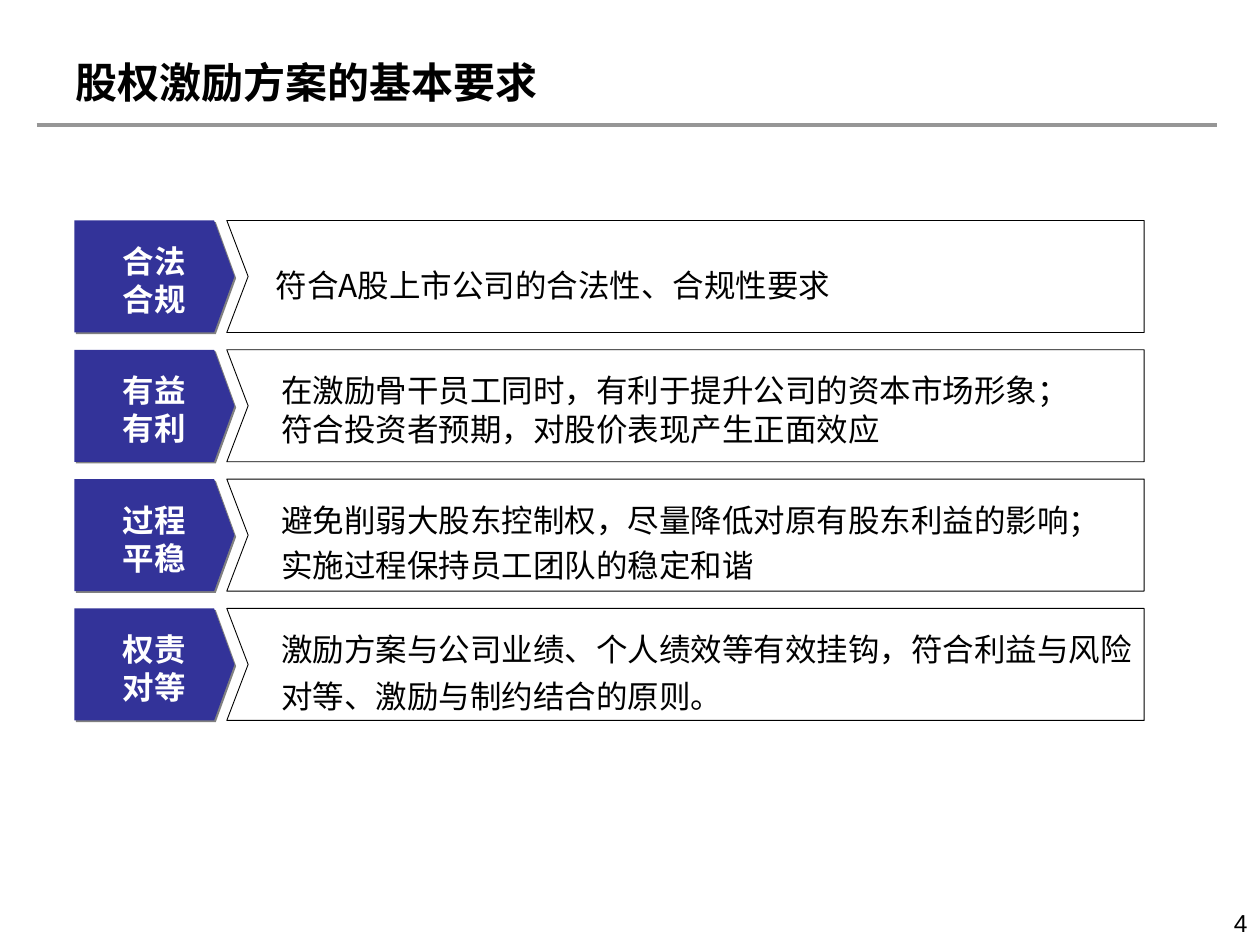
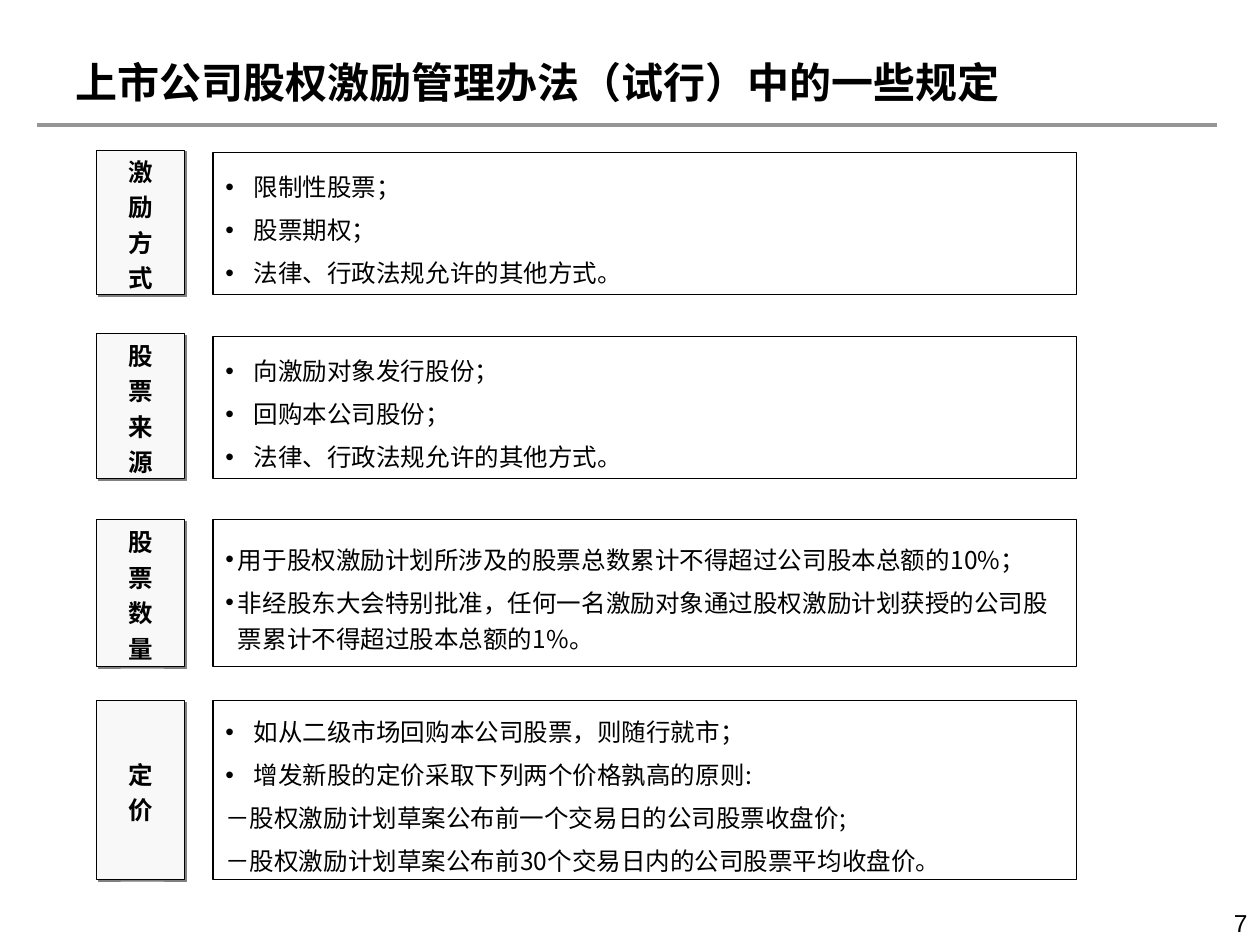
from dataclasses import dataclass
from typing import Optional

from lxml.etree import SubElement
from pptx import Presentation
from pptx.dml.color import RGBColor
from pptx.enum.shapes import MSO_CONNECTOR as Connector, MSO_SHAPE as Shape
from pptx.enum.text import MSO_ANCHOR as Anchor, PP_ALIGN as Align
from pptx.oxml.ns import qn
from pptx.util import Pt

BLACK, WHITE, NAVY = "000000", "FFFFFF", "333399"
RULE_GREY, SHADOW_GREY, LABEL_GREY = "969696", "808080", "F8F8F8"
LATIN, HAN = "Arial", "Noto Sans CJK SC"

# Requirement rows
ROW_TOP, ROW_PITCH, ROW_HEIGHT = 126, 73.9, 64
TAG_LEFT, TAG_SHOULDER, TAG_TIP = 42.5, 122.4, 134
PANEL_LEFT, PANEL_NOTCH, PANEL_RIGHT = 129.6, 141.8, 653.8
TEXT_DROP = 2

# Regulation rows
LABEL_LEFT, LABEL_WIDTH = 55.2, 50.4
RULES_LEFT, RULES_WIDTH = 121.7, 493.6
PARAGRAPH_GAP = 3.5


@dataclass
class Style:
    size: float
    font: str = HAN
    color: str = BLACK
    bold: bool = False
    align: Align = Align.LEFT
    line_height: Optional[float] = None
    gap: float = 0


@dataclass
class Requirement:
    tag: str
    text: str
    line_height: float
    lines: int = 2
    left: float = 160.6
    width: float = 489


@dataclass
class Regulation:
    label: str
    rules: list[str]
    top: float
    height: float
    label_rise: float = 0
    indent: float = 16.2


TITLE = Style(24, LATIN, bold=True)
PAGE_NUMBER = Style(14, LATIN, align=Align.RIGHT)
TAG = Style(18, color=WHITE, bold=True, align=Align.CENTER, line_height=21.6)
LABEL = Style(14, bold=True, align=Align.CENTER, line_height=16.8, gap=PARAGRAPH_GAP)
RULES = Style(14, line_height=21, gap=PARAGRAPH_GAP)

REQUIREMENTS = [
    Requirement("合法\n合规", "符合A股上市公司的合法性、合规性要求", 27, lines=1, left=157.6),
    Requirement("有益\n有利",
                "在激励骨干员工同时，有利于提升公司的资本市场形象；"
                "符合投资者预期，对股价表现产生正面效应", 21.8, width=461.5),
    Requirement("过程\n平稳",
                "避免削弱大股东控制权，尽量降低对原有股东利益的影响；\n"
                "实施过程保持员工团队的稳定和谐", 25.5),
    Requirement("权责\n对等",
                "激励方案与公司业绩、个人绩效等有效挂钩，"
                "符合利益与风险对等、激励与制约结合的原则。", 27),
]

OTHER_WAYS = "法律、行政法规允许的其他方式。"
REGULATIONS = [
    Regulation("激励方式", ["限制性股票；", "股票期权；", OTHER_WAYS], 87.1, 81.4, 1.4),
    Regulation("股票来源", ["向激励对象发行股份；", "回购本公司股份；", OTHER_WAYS],
               192.2, 81.4, 1.4),
    Regulation("股票数量",
               ["用于股权激励计划所涉及的股票总数累计不得超过公司股本总额的10%；",
                "非经股东大会特别批准，任何一名激励对象通过股权激励计划获授的"
                "公司股票累计不得超过股本总额的1%。"], 296.8, 84, indent=7.2),
    Regulation("定价",
               ["如从二级市场回购本公司股票，则随行就市；",
                "增发新股的定价采取下列两个价格孰高的原则:",
                "－股权激励计划草案公布前一个交易日的公司股票收盘价;",
                "－股权激励计划草案公布前30个交易日内的公司股票平均收盘价。"], 400.3, 102.2),
]


def rgb(color: str) -> RGBColor:
    return RGBColor.from_string(color)


def set_margins(frame, left: float, top: float, right: float, bottom: float) -> None:
    frame.margin_left, frame.margin_top = Pt(left), Pt(top)
    frame.margin_right, frame.margin_bottom = Pt(right), Pt(bottom)


def write(frame, text: str, style: Style, anchor: Anchor = Anchor.MIDDLE) -> None:
    frame.text = text
    frame.word_wrap = True
    frame.vertical_anchor = anchor
    for index, paragraph in enumerate(frame.paragraphs):
        paragraph.alignment = style.align
        if style.line_height:
            paragraph.line_spacing = Pt(style.line_height)
        paragraph.space_before = Pt(style.gap if index else 0)
        for run in paragraph.runs:
            font = run.font
            font.size, font.bold = Pt(style.size), style.bold
            font.color.rgb = rgb(style.color)
            font.name = style.font
            SubElement(font._element, qn("a:ea"), typeface=HAN)


def add_bullet(paragraph, indent: float) -> None:
    properties = paragraph._p.get_or_add_pPr()
    properties.set("marL", str(Pt(indent)))
    properties.set("indent", str(-Pt(indent)))
    SubElement(properties, qn("a:buFont"), typeface=LATIN)
    SubElement(properties, qn("a:buChar"), char="•")


def paint(shape, fill: Optional[str], line: Optional[str], width: float = 0.5,
          shadow: bool = False) -> None:
    if fill:
        shape.fill.solid()
        shape.fill.fore_color.rgb = rgb(fill)
    else:
        shape.fill.background()
    if line:
        shape.line.color.rgb = rgb(line)
        shape.line.width = Pt(width)
    else:
        shape.line.fill.background()
    shape.shadow.inherit = False
    if shadow:
        effects = shape._element.spPr.find(qn("a:effectLst"))
        outer = SubElement(effects, qn("a:outerShdw"), blurRad="0", dist=str(Pt(1.4)),
                           dir="2700000", algn="ctr", rotWithShape="0")
        SubElement(outer, qn("a:srgbClr"), val=SHADOW_GREY)


def add_outline(slide, points: list[tuple[float, float]]):
    start, *rest = [(Pt(x), Pt(y)) for x, y in points]
    builder = slide.shapes.build_freeform(*start, scale=1.0)
    builder.add_line_segments(rest, close=True)
    return builder.convert_to_shape()


def add_text(slide, text: str, style: Style, left: float, top: float,
             width: float, height: float) -> None:
    box = slide.shapes.add_textbox(Pt(left), Pt(top), Pt(width), Pt(height))
    set_margins(box.text_frame, 0, 0, 0, 0)
    write(box.text_frame, text, style)


def add_page(deck, title: str, number: int):
    """Add a slide with the shared title, rule and page number."""
    slide = deck.slides.add_slide(deck.slide_layouts[5])
    heading = slide.shapes.title
    heading.left, heading.top = Pt(36), Pt(21.6)
    heading.width, heading.height = Pt(576), Pt(49.7)
    write(heading.text_frame, title, TITLE)

    rule = slide.shapes.add_connector(Connector.STRAIGHT, Pt(20.9), Pt(71.3), Pt(695.5), Pt(71.3))
    rule.line.color.rgb = rgb(RULE_GREY)
    rule.line.width = Pt(2.25)
    SubElement(rule._element.spPr, qn("a:effectLst"))

    page_number = slide.shapes.add_textbox(Pt(552.2), Pt(515.5), Pt(167.8), Pt(37.4))
    write(page_number.text_frame, str(number), PAGE_NUMBER, Anchor.TOP)
    return slide


def add_requirement(slide, item: Requirement, top: float) -> None:
    middle, bottom = top + ROW_HEIGHT / 2, top + ROW_HEIGHT
    tag = add_outline(slide, [(TAG_LEFT, top), (TAG_SHOULDER, top), (TAG_TIP, middle),
                              (TAG_SHOULDER, bottom), (TAG_LEFT, bottom)])
    paint(tag, NAVY, None, shadow=True)
    panel = add_outline(slide, [(PANEL_RIGHT, top), (PANEL_LEFT, top), (PANEL_NOTCH, middle),
                                (PANEL_LEFT, bottom), (PANEL_RIGHT, bottom)])
    paint(panel, None, BLACK)

    tag_height = 2 * TAG.line_height
    add_text(slide, item.tag, TAG, 52.6, middle + TEXT_DROP - tag_height / 2, 71.3, tag_height)
    height = item.lines * item.line_height
    add_text(slide, item.text, Style(18, line_height=item.line_height),
             item.left, middle + TEXT_DROP - height / 2, item.width, height)


def add_regulation(slide, item: Regulation) -> None:
    label = slide.shapes.add_shape(Shape.RECTANGLE, Pt(LABEL_LEFT), Pt(item.top - item.label_rise),
                                   Pt(LABEL_WIDTH), Pt(item.height + item.label_rise))
    paint(label, LABEL_GREY, BLACK, shadow=True)
    set_margins(label.text_frame, 0, 2.5, 0, 0)
    write(label.text_frame, "\n".join(item.label), LABEL)

    rules = slide.shapes.add_shape(Shape.RECTANGLE, Pt(RULES_LEFT), Pt(item.top),
                                   Pt(RULES_WIDTH), Pt(item.height))
    paint(rules, None, BLACK, 0.75)
    set_margins(rules.text_frame, 7.2, 6.6, 7.2, 3.6)
    write(rules.text_frame, "\n".join(item.rules), RULES)
    for paragraph in rules.text_frame.paragraphs:
        if not paragraph.text.startswith("－"):
            add_bullet(paragraph, item.indent)


def main() -> None:
    deck = Presentation()
    deck.slide_width, deck.slide_height = Pt(720), Pt(540)

    requirements = add_page(deck, "股权激励方案的基本要求", 4)
    for index, requirement in enumerate(REQUIREMENTS):
        add_requirement(requirements, requirement, ROW_TOP + index * ROW_PITCH)

    regulations = add_page(deck, "上市公司股权激励管理办法（试行）中的一些规定", 7)
    for regulation in REGULATIONS:
        add_regulation(regulations, regulation)

    deck.save("out.pptx")


if __name__ == "__main__":
    main()
